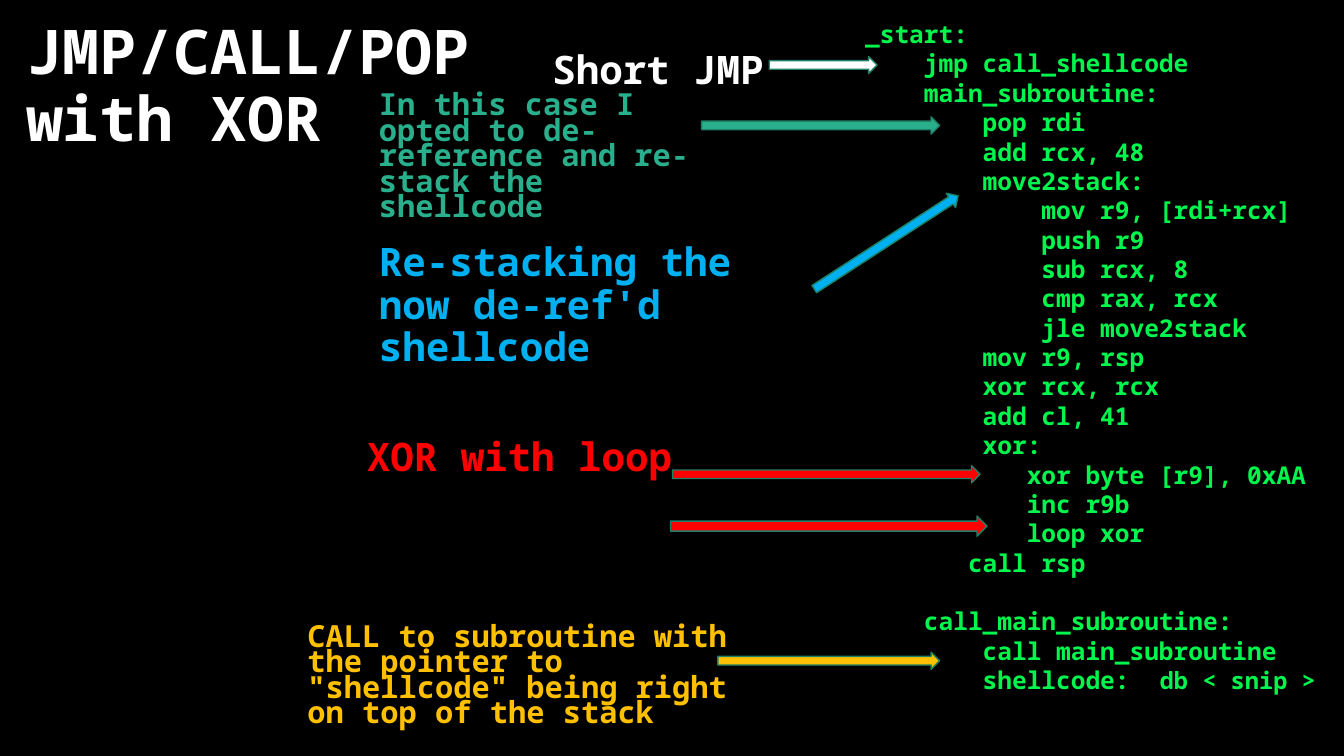
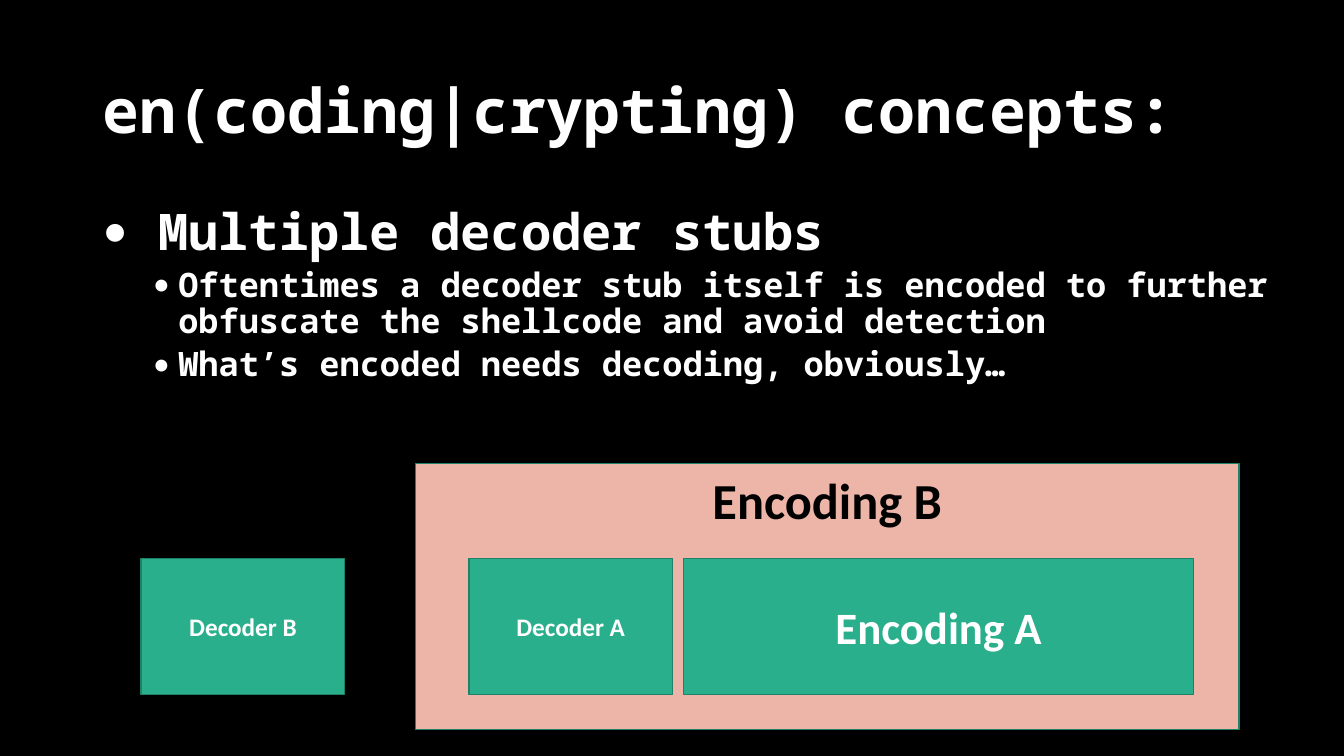
from lxml.etree import SubElement
from pptx import Presentation
from pptx.dml.color import RGBColor
from pptx.enum.shapes import MSO_SHAPE
from pptx.enum.text import MSO_ANCHOR, PP_ALIGN
from pptx.oxml.ns import qn
from pptx.util import Inches, Pt

MONO, SANS = "Noto Sans Mono", "Calibri"
HUES = {
    "black": "000000", "white": "FFFFFF", "code": "00F64C", "teal": "29AF8C",
    "edge": "1E8168", "blue": "00B0F0", "red": "FF0000", "gold": "FFC000",
    "pink": "ECB5A8",
}
CODE = """\
    _start:
        jmp call_shellcode
        main_subroutine:
            pop rdi
            add rcx, 48
            move2stack:
                mov r9, [rdi+rcx]
                push r9
                sub rcx, 8
                cmp rax, rcx
                jle move2stack
            mov r9, rsp
            xor rcx, rcx
            add cl, 41
            xor:
               xor byte [r9], 0xAA
               inc r9b
               loop xor
           call rsp

        call_main_subroutine:
            call main_subroutine
            shellcode:  db < snip >"""


def hue(name):
    return RGBColor.from_string(HUES[name])


class Deck:
    """Holds the style and the current slide."""

    def __init__(self):
        self.prs = Presentation()
        self.prs.slide_width, self.prs.slide_height = Inches(13.33), Inches(7.5)
        self.slide = None

    def new(self):
        self.slide = self.prs.slides.add_slide(self.prs.slide_layouts[6])
        fill = self.slide.background.fill
        fill.solid()
        fill.fore_color.rgb = hue("black")

    def run(self, para, text, size, tint, face=MONO):
        run = para.add_run()
        run.text = text
        font = run.font
        font.size, font.name, font.bold = Pt(size), face, True
        font.color.rgb = hue(tint)

    def frame(self, box, anchor=MSO_ANCHOR.MIDDLE):
        box = self.slide.shapes.add_textbox(*map(Inches, box))
        frame = box.text_frame
        frame.word_wrap = True
        frame.vertical_anchor = anchor
        return frame

    def note(self, box, lines, size, tint, gap=0.9):
        para = self.frame(box).paragraphs[0]
        para.line_spacing = gap
        for i, line in enumerate(lines):
            if i:
                para.add_line_break()
            self.run(para, line, size, tint)

    def title(self, box, *lines):
        self.note(box, lines, 44, "white")

    def code(self, box, text, size, tail, small):
        """Code lines; an empty line becomes space before the next one."""
        frame = self.frame(box, MSO_ANCHOR.TOP)
        para, blank = frame.paragraphs[0], False
        for i, line in enumerate(text.split("\n")):
            if not line:
                blank = True
                continue
            if i:
                para = frame.add_paragraph()
            if blank:
                para.space_before = Pt(size * 1.2)
                blank = False
            head, mark, _ = line.partition(tail)
            self.run(para, head, size, "code")
            if mark:
                self.run(para, mark, small, "code")

    def list(self, box, items):
        """Bullets given as (level, text)."""
        looks = ((36, 0.55, 0.55, 10), (24, 0.75, 0.25, 5))
        frame = self.frame(box, MSO_ANCHOR.TOP)
        for i, (level, text) in enumerate(items):
            para = frame.add_paragraph() if i else frame.paragraphs[0]
            size, left, hang, space = looks[level]
            para.level = level
            para.line_spacing = 0.9
            if i:
                para.space_before = Pt(space)
            props = para._p.get_or_add_pPr()
            props.set("marL", str(Inches(left)))
            props.set("indent", str(-Inches(hang)))
            SubElement(props, qn("a:buFont")).set("typeface", SANS)
            SubElement(props, qn("a:buChar")).set("char", "•")
            self.run(para, text, size, "white")

    def shape(self, kind, box, tint):
        item = self.slide.shapes.add_shape(kind, *map(Inches, box))
        item.shadow.inherit = False
        item.fill.solid()
        item.fill.fore_color.rgb = hue(tint)
        item.line.color.rgb = hue("edge")
        item.line.width = Pt(1)
        return item

    def arrow(self, box, tint, turn=0):
        self.shape(MSO_SHAPE.RIGHT_ARROW, box, tint).rotation = turn

    def block(self, box, text, size, tint="teal", ink="white",
              anchor=MSO_ANCHOR.MIDDLE):
        frame = self.shape(MSO_SHAPE.RECTANGLE, box, tint).text_frame
        frame.word_wrap = True
        frame.vertical_anchor = anchor
        para = frame.paragraphs[0]
        para.alignment = PP_ALIGN.CENTER
        self.run(para, text, size, ink, SANS)


def jump(deck):
    deck.new()
    # Listing and title
    deck.code((7.9, 0.14, 5.43, 7.2), CODE, 17.5, "db < snip >", 16.9)
    deck.title((0.16, 0.15, 4.93, 1.45), "JMP/CALL/POP", "with XOR")
    # Arrows into the listing
    for box, tint, turn in (
        ((7.63, 0.56, 1.07, 0.17), "white", 0),
        ((6.96, 1.16, 2.36, 0.17), "teal", 0),
        ((7.94, 2.32, 1.7, 0.17), "blue", 327),
        ((6.67, 4.62, 3.05, 0.17), "red", 0),
        ((6.65, 5.12, 3.14, 0.2), "red", 0),
        ((7.12, 6.47, 2.2, 0.17), "gold", 0),
    ):
        deck.arrow(box, tint, turn)
    # Remarks: large ones, then tightly set ones
    for box, text, tint in (
        ((5.38, 0.39, 2.84, 0.65), "Short JMP", "white"),
        ((3.66, 2.41, 4.3, 1.26), "Re-stacking the now de-ref'd shellcode",
         "blue"),
        ((3.54, 4.07, 4.82, 0.96), "XOR with loop", "red"),
    ):
        deck.note(box, [text], 28, tint)
    for box, text, tint in (
        ((3.66, 0.99, 3.51, 1.18), "In this case I opted to de-reference "
         "and re-stack the shellcode", "teal"),
        ((2.95, 6.15, 4.55, 1.15), "CALL to subroutine with the pointer to "
         "\"shellcode\" being right on top of the stack", "gold"),
    ):
        deck.note(box, [text], 21.7, tint, 0.7)


def coding(deck):
    deck.new()
    # Title and bullets
    deck.title((0.92, 0.4, 11.5, 1.45), "en(coding|crypting) concepts:")
    deck.list((0.92, 2, 11.96, 5.1), (
        (0, "Multiple decoder stubs"),
        (1, "Oftentimes a decoder stub itself is encoded to further "
            "obfuscate the shellcode and avoid detection"),
        (1, "What’s encoded needs decoding, obviously…"),
    ))
    # Nested blocks
    deck.block((4.12, 4.6, 8.17, 2.64), "Encoding B", 36, "pink", "black",
               MSO_ANCHOR.TOP)
    for left, width, text, size in (
        (1.4, 2.02, "Decoder B", 18),
        (4.65, 2.02, "Decoder A", 18),
        (6.78, 5.06, "Encoding A", 32),
    ):
        deck.block((left, 5.54, width, 1.35), text, size)


def main():
    deck = Deck()
    jump(deck)
    coding(deck)
    deck.prs.save("out.pptx")


if __name__ == "__main__":
    main()
